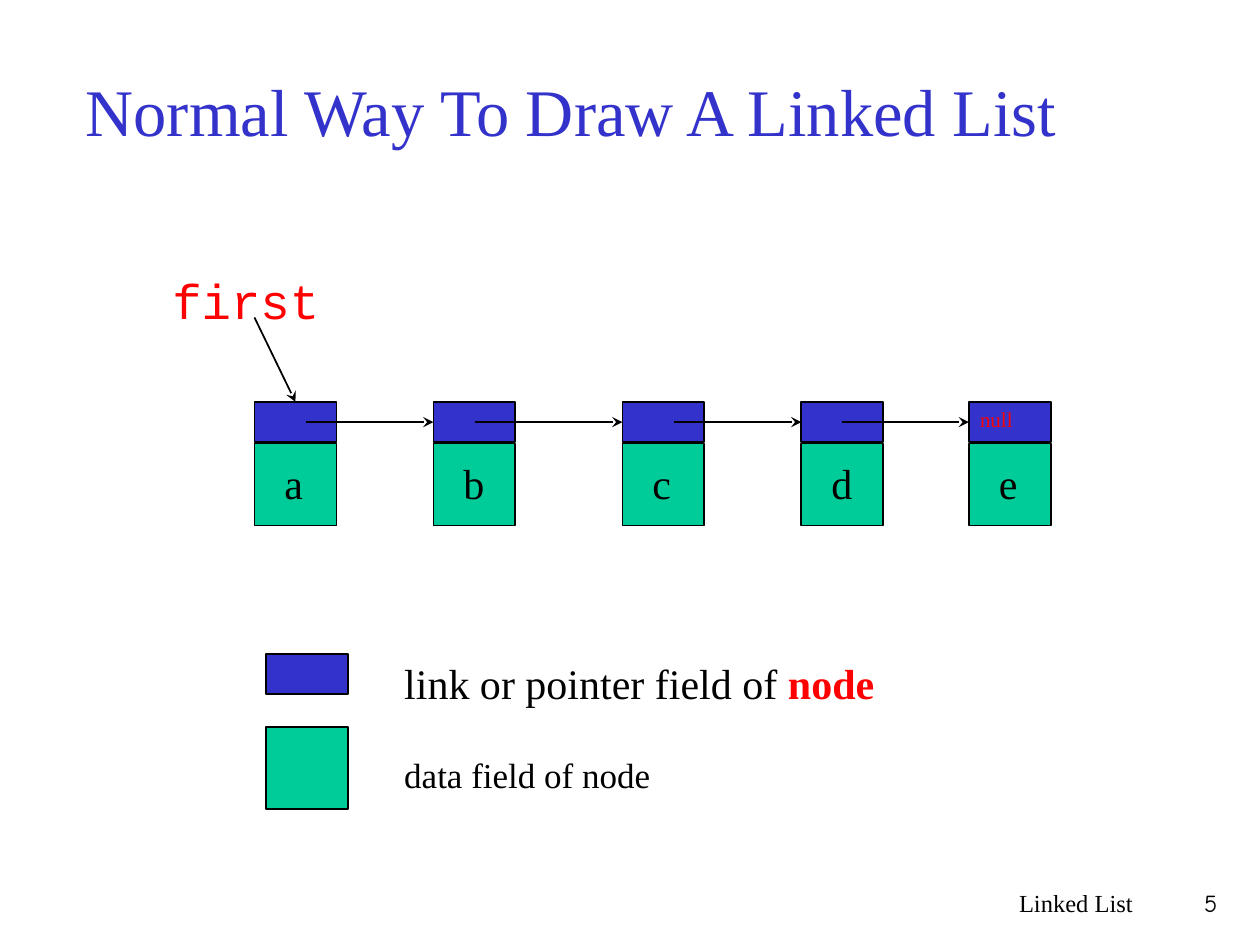
from lxml import etree
from pptx import Presentation
from pptx.dml.color import RGBColor
from pptx.enum.shapes import MSO_CONNECTOR, MSO_SHAPE
from pptx.enum.text import MSO_ANCHOR, PP_ALIGN
from pptx.oxml.ns import qn
from pptx.util import Inches, Pt

RECTANGLE = MSO_SHAPE.RECTANGLE
STRAIGHT = MSO_CONNECTOR.STRAIGHT
MIDDLE = MSO_ANCHOR.MIDDLE
LEFT, RIGHT = PP_ALIGN.LEFT, PP_ALIGN.RIGHT

BLUE = RGBColor(0x33, 0x33, 0xCC)
GREEN = RGBColor(0x00, 0xCC, 0x99)
RED = RGBColor(0xFF, 0x00, 0x00)
BLACK = RGBColor(0x00, 0x00, 0x00)
SERIF, MONO, HAND = "Times New Roman", "Courier New", "Comic Neue"

TITLE = "Normal Way To Draw A Linked List"
NODES = [("a", 2.02), ("b", 3.44), ("c", 4.94), ("d", 6.36), ("e", 7.69)]
POINTER_STARTS = [2.43, 3.77, 5.35, 6.68]
LABELS = [
    ((3.11, 5.17, 4.85, 0.51), [("link or pointer field of ", BLACK, False), ("node", RED, True)], 24, SERIF, LEFT),
    ((3.11, 5.93, 5.5, 0.43), [("data field of node", BLACK, False)], 20, SERIF, LEFT),
    ((7.68, 3.18, 0.67, 0.3), [("null", RED, False)], 12, SERIF, LEFT),
    ((1.27, 2.1, 1.83, 0.57), [("first", RED, False)], 28, MONO, LEFT),
    ((5.92, 7, 3.17, 0.5), [("Linked List", BLACK, False)], 14, SERIF, RIGHT),
    ((9.08, 7, 0.68, 0.5), [("5", BLACK, False)], 14, HAND, RIGHT),
]

CELL = 0.65
LINK_HEIGHT = 0.32
NODE_TOP = 3.19
DATA_TOP = NODE_TOP + LINK_HEIGHT + 0.01
LINK_MIDDLE = NODE_TOP + LINK_HEIGHT / 2
LEGEND_LEFT = 2.11


def style(span, size, font, color, bold=False):
    span.font.size = Pt(size)
    span.font.name = font
    span.font.color.rgb = color
    span.font.bold = bold


def add_cell(page, left, top, height, color):
    cell = page.shapes.add_shape(RECTANGLE, Inches(left), Inches(top), Inches(CELL), Inches(height))
    cell.shadow.inherit = False
    cell.fill.solid()
    cell.fill.fore_color.rgb = color
    cell.line.color.rgb = BLACK
    cell.line.width = Pt(1)


def add_label(page, place, spans, size, font, align, wrap=True):
    box = page.shapes.add_textbox(*map(Inches, place))
    box.text_frame.word_wrap = wrap
    para = box.text_frame.paragraphs[0]
    para.alignment = align
    for text, color, bold in spans:
        span = para.add_run()
        span.text = text
        style(span, size, font, color, bold)


def add_arrow(page, *ends):
    arrow = page.shapes.add_connector(STRAIGHT, *map(Inches, ends))
    arrow.line.color.rgb = BLACK
    arrow.line.width = Pt(1)
    etree.SubElement(arrow.line._get_or_add_ln(), qn("a:tailEnd"), type="stealth")
    etree.SubElement(arrow._element.spPr, qn("a:effectLst"))


def main():
    deck = Presentation()
    deck.slide_width, deck.slide_height = Inches(10), Inches(7.5)
    page = deck.slides.add_slide(deck.slide_layouts[5])

    title = page.shapes.title
    title.left, title.top, title.width, title.height = map(Inches, (0.58, 0.25, 8.5, 1.25))
    title.text_frame.text = TITLE
    title.text_frame.vertical_anchor = MIDDLE
    heading = title.text_frame.paragraphs[0]
    heading.alignment = LEFT
    style(heading.runs[0], 38, SERIF, BLUE)

    add_cell(page, LEGEND_LEFT, 5.19, LINK_HEIGHT, BLUE)
    add_cell(page, LEGEND_LEFT, 5.77, CELL, GREEN)

    for name, left in NODES:
        add_cell(page, left, DATA_TOP, CELL, GREEN)
        add_cell(page, left, NODE_TOP, LINK_HEIGHT, BLUE)
        place = (left + 0.14, DATA_TOP + 0.06, 0.36, 0.5)
        add_label(page, place, [(name, BLACK, False)], 24, SERIF, LEFT, wrap=False)

    for start, (_, target) in zip(POINTER_STARTS, NODES[1:]):
        add_arrow(page, start, LINK_MIDDLE, target, LINK_MIDDLE)
    first_left = NODES[0][1]
    add_arrow(page, first_left, 2.52, first_left + CELL / 2, NODE_TOP)

    for label in LABELS:
        add_label(page, *label)

    deck.save("out.pptx")


if __name__ == "__main__":
    main()
